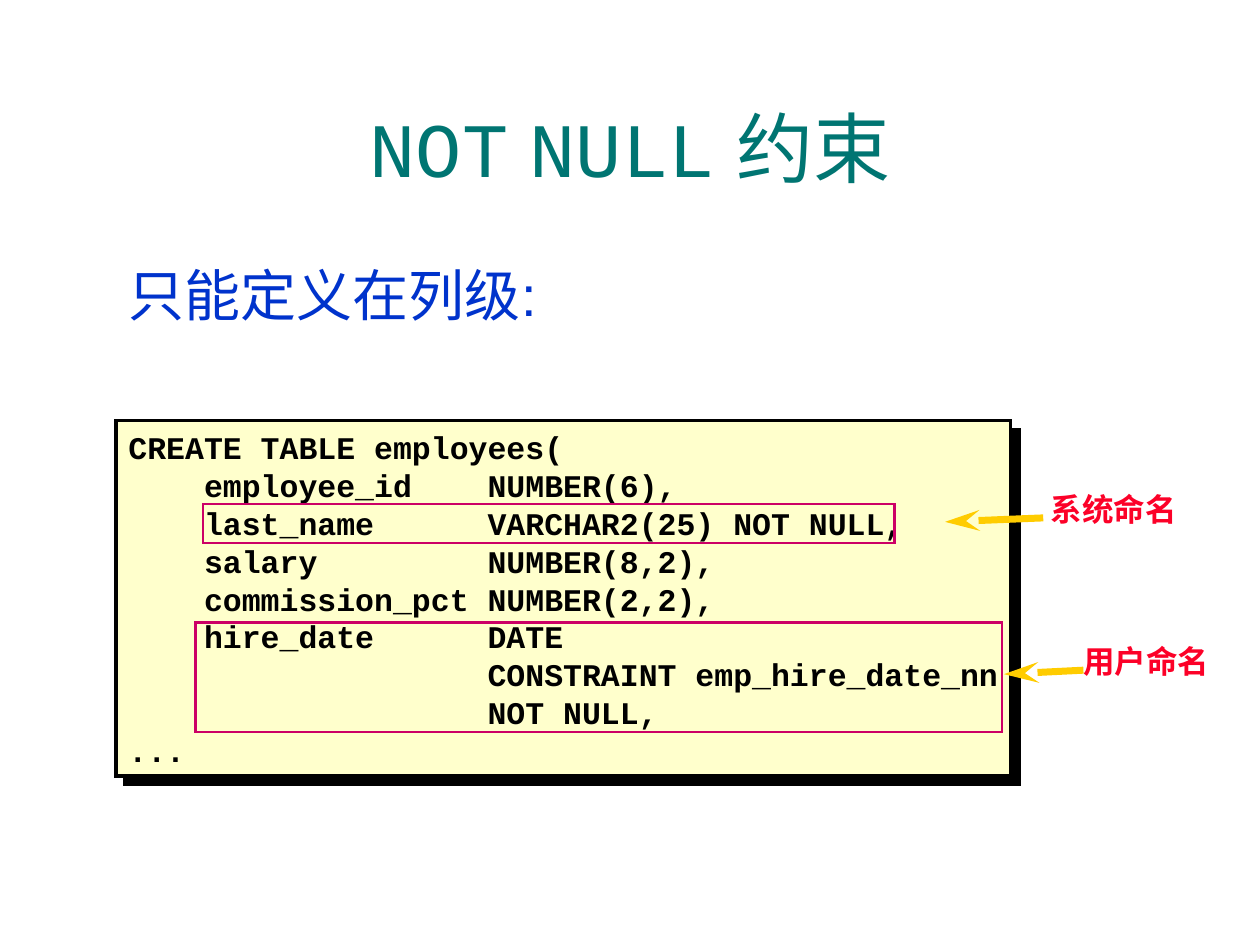
from pptx import Presentation
from pptx.dml.color import RGBColor
from pptx.enum.shapes import MSO_CONNECTOR, MSO_SHAPE
from pptx.enum.text import MSO_ANCHOR as ANCHOR, MSO_AUTO_SIZE as AUTO, PP_ALIGN as ALIGN
from pptx.oxml import parse_xml
from pptx.oxml.ns import nsdecls, qn
from pptx.util import Cm, Pt

TEAL = RGBColor(0x00, 0x75, 0x72)
BLUE = RGBColor(0x00, 0x33, 0xCC)
CREAM = RGBColor(0xFF, 0xFF, 0xCC)
BLACK = RGBColor(0x00, 0x00, 0x00)
MAGENTA = RGBColor(0xCC, 0x00, 0x66)
RED = RGBColor(0xFC, 0x01, 0x28)
GOLD = RGBColor(0xFF, 0xCC, 0x00)
SANS, MONO = "Arial", "Courier New"

# Content; boxes are left, top, width, height in cm
TITLE = [("NOT", MONO), (" ", SANS), ("NULL", MONO), (" 约束", SANS)]
TITLE_BOX = (0.84, 1.9, 23.72, 3.18)
BODY = "只能定义在列级:"
BODY_BOX = (2.34, 5.13, 20.52, 1.6)
CODE = """CREATE TABLE employees(
    employee_id    NUMBER(6),
    last_name      VARCHAR2(25) NOT NULL,
    salary         NUMBER(8,2),
    commission_pct NUMBER(2,2),
    hire_date      DATE
                   CONSTRAINT emp_hire_date_nn
                   NOT NULL,
...""".split("\n")
PANEL_BOX = (2.34, 8.48, 18.03, 7.16)
CODE_BOX = (2.34, 8.52, 18.6, 6.96)
FRAMES = [(4.09, 10.16, 13.94, 0.79), (3.94, 12.55, 16.26, 2.21)]
# Label, box, left margin, arrow tip, arrow end
CALLOUTS = [
    ("系统命名", (20.75, 9.83, 4.39, 0.94), 0.43, (19.05, 10.52), (21.03, 10.44)),
    ("用户命名", (21.59, 12.9, 3.53, 0.94), 0.25, (20.24, 13.59), (21.84, 13.51)),
]


def cm(values):
    return [Cm(v) for v in values]


def apply(target, formats):
    for name, value in formats.items():
        setattr(target, name, value)


def add_xml(parent, tag, attributes=""):
    parent.append(parse_xml(f'<a:{tag} {nsdecls("a")} {attributes}/>'))


def add_run(p, text, color, **formats):
    r = p.add_run()
    r.text = text
    apply(r.font, formats)
    r.font.color.rgb = color


def place(sp, box):
    apply(sp, dict(zip(("left", "top", "width", "height"), cm(box))))
    apply(sp.text_frame, {"word_wrap": True, "auto_size": AUTO.NONE,
                          "vertical_anchor": ANCHOR.TOP})
    return sp.text_frame.paragraphs[0]


def add_rect(s, box, line, width, fill=None):
    sp = s.shapes.add_shape(MSO_SHAPE.RECTANGLE, *cm(box))
    sp.shadow.inherit = False
    if fill is None:
        sp.fill.background()
    else:
        sp.fill.solid()
        sp.fill.fore_color.rgb = fill
    sp.line.color.rgb = line
    sp.line.width = Pt(width)
    add_xml(sp._element.spPr.find(qn("a:ln")), "miter", 'lim="800000"')
    return sp


def add_arrow(s, tip, end):
    line = s.shapes.add_connector(MSO_CONNECTOR.STRAIGHT, *cm(tip + end))
    line.line.color.rgb = GOLD
    line.line.width = Pt(4)
    sp_pr = line._element.spPr
    add_xml(sp_pr.find(qn("a:ln")), "headEnd", 'type="stealth" w="med" len="lg"')
    add_xml(sp_pr, "effectLst")


prs = Presentation()
prs.slide_width, prs.slide_height = Cm(25.4), Cm(19.05)
s = prs.slides.add_slide(prs.slide_layouts[1])

# Title and statement
p = place(s.shapes.title, TITLE_BOX)
p.alignment = ALIGN.CENTER
for text, font in TITLE:
    add_run(p, text, TEAL, name=font, size=Pt(44))

p = place(s.placeholders[1], BODY_BOX)
p_pr = p._p.get_or_add_pPr()
p_pr.set("marL", str(Cm(0.97)))
p_pr.set("indent", str(-Cm(0.97)))
add_xml(p_pr, "buNone")
p.space_before = Pt(0)
add_run(p, BODY, BLUE, name=SANS, size=Pt(32))

# Code panel with a hard shadow
panel = add_rect(s, PANEL_BOX, BLACK, 2, CREAM)
panel._element.spPr.find(qn("a:effectLst")).append(parse_xml(
    f'<a:outerShdw {nsdecls("a")} dist="{Pt(7.1)}" dir="2700000" algn="ctr" rotWithShape="0">'
    '<a:srgbClr val="000000"/></a:outerShdw>'))

tf = s.shapes.add_textbox(*cm(CODE_BOX)).text_frame
apply(tf, {"word_wrap": True, "vertical_anchor": ANCHOR.MIDDLE,
           "margin_top": Cm(0.13), "margin_bottom": 0})
for i, text in enumerate(CODE):
    p = tf.add_paragraph() if i else tf.paragraphs[0]
    p.line_spacing = Pt(21.6)
    add_run(p, text, BLACK, name=MONO, size=Pt(18), bold=True)

# Frames around the constrained columns
for box in FRAMES:
    add_rect(s, box, MAGENTA, 1.5)

# Callouts
for text, box, margin, tip, end in CALLOUTS:
    tf = s.shapes.add_textbox(*cm(box)).text_frame
    apply(tf, {"word_wrap": True, "auto_size": AUTO.SHAPE_TO_FIT_TEXT,
               "margin_left": Cm(margin)})
    p = tf.paragraphs[0]
    p.line_spacing = 0.9
    add_run(p, text, RED, name=SANS, size=Pt(18), bold=True)
    add_arrow(s, tip, end)

prs.save("out.pptx")
